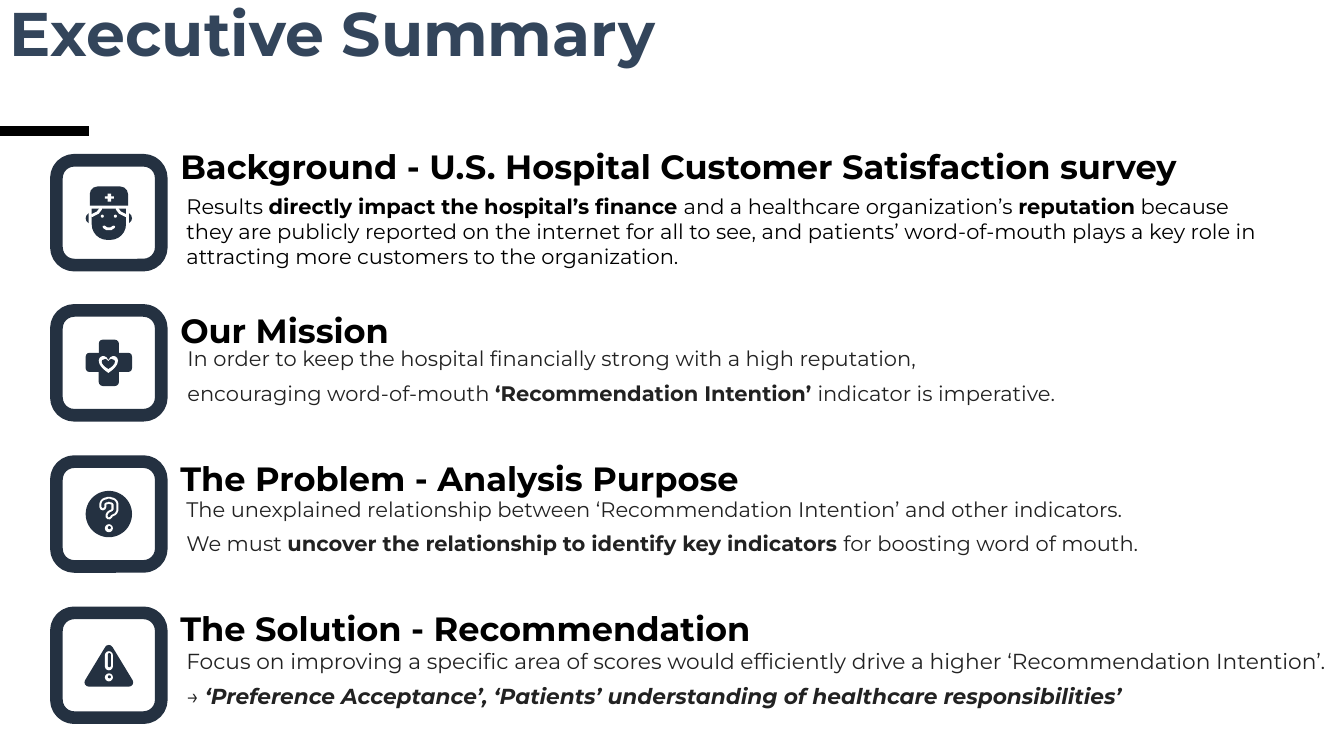
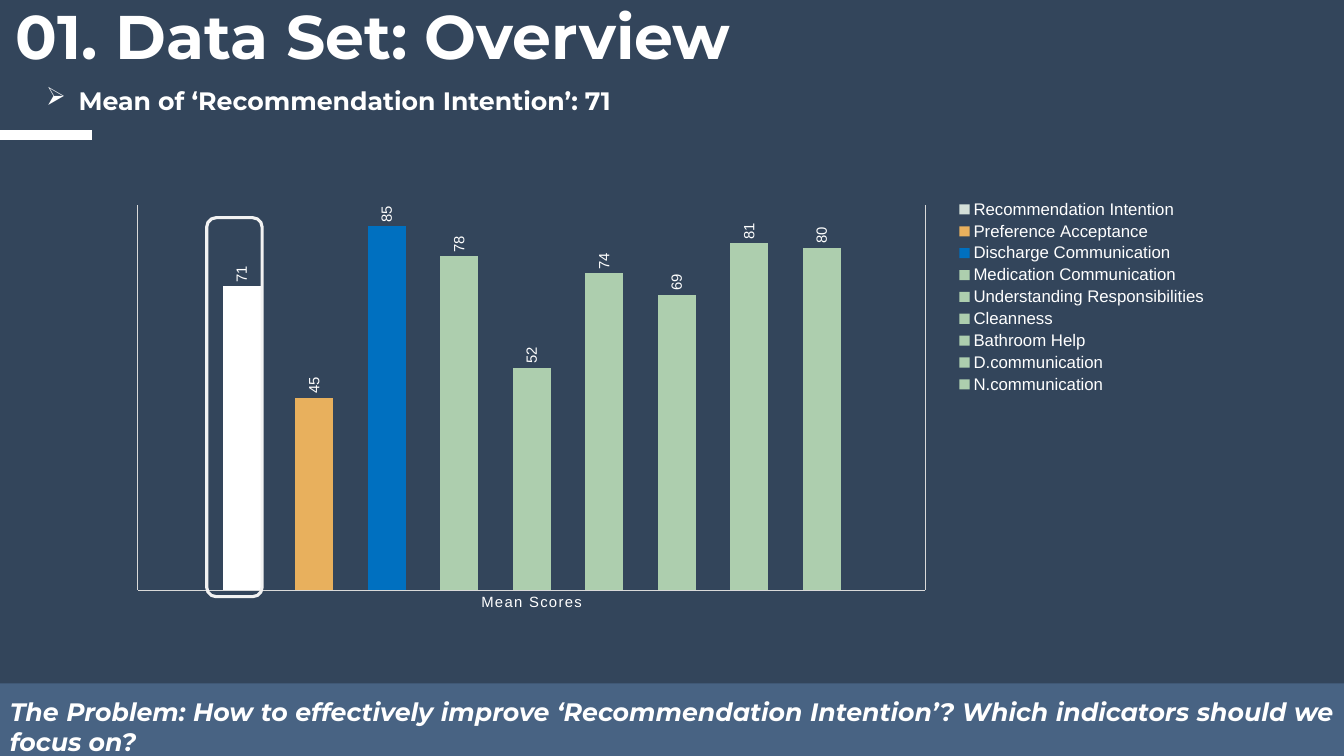
"""Build an executive summary slide and a data set overview slide."""
from dataclasses import dataclass
from math import cos, radians, sin

from lxml import etree
from pptx import Presentation
from pptx import util as u
from pptx.chart import data
from pptx.dml.color import RGBColor
from pptx.enum import chart as charts, shapes, text
from pptx.oxml import parse_xml
from pptx.oxml.ns import nsdecls, qn


@dataclass(frozen=True)
class Theme:
    white: str = "FFFFFF"
    black: str = "000000"
    navy: str = "33455B"
    icon: str = "243141"
    body: str = "222222"
    band: str = "486383"
    frame: str = "F2F2F2"
    axis: str = "D9D9D9"
    mint: str = "D4DFD8"
    orange: str = "E8B05D"
    blue: str = "0070C0"
    green: str = "ADCEAE"
    font: str = "Montserrat"
    chart_font: str = "Arial"
    title: float = 44
    heading: float = 24
    point: float = 18
    copy: float = 15
    copy_wide: float = 15.5
    legend: float = 12
    label: float = 10.6


T = Theme()
PX = 9144
W, H = 1333, 750
rgb = RGBColor.from_string
KIND = shapes.MSO_SHAPE
RECT, ROUND, OVAL = KIND.RECTANGLE, KIND.ROUNDED_RECTANGLE, KIND.OVAL
HALF_ROUND = KIND.ROUND_2_SAME_RECTANGLE


def add_text(s, box, paras, size=T.copy, color=T.black, bold=False, italic=False, inset=(10, 10),
             anchor=text.MSO_ANCHOR.TOP, align=None, spacing=None, before=None, after=None, bullet=None):
    """Add a text box; each paragraph lists runs that alternate plain and bold."""
    tf = s.shapes.add_textbox(*(u.Emu(v * PX) for v in box)).text_frame
    tf.word_wrap = True
    tf.vertical_anchor = anchor
    tf.margin_left = tf.margin_right = inset[0] * PX
    tf.margin_top = tf.margin_bottom = inset[1] * PX
    for n, runs in enumerate(paras):
        p = tf.add_paragraph() if n else tf.paragraphs[0]
        p.alignment, p.line_spacing = align, spacing
        if before:
            p.space_before = u.Pt(before)
        if after:
            p.space_after = u.Pt(after)
        if bullet:
            pPr = p._p.get_or_add_pPr()
            pPr.set("marL", str(25 * PX))
            pPr.set("indent", str(-25 * PX))
            etree.SubElement(pPr, qn("a:buChar")).set("char", bullet)
        for i, words in enumerate(runs):
            r = p.add_run()
            r.text = words
            strong = bold or i % 2 == 1
            r.font.name, r.font.size, r.font.color.rgb = T.font, u.Pt(size), rgb(color)
            r.font.bold, r.font.italic = strong, italic and strong


def add_figure(s, kind, box, fill=None, line=None, width=0, adj=(), points=()):
    """Add a preset shape, or an open stroke when points are given."""
    if points:
        pen = s.shapes.build_freeform(*points[0], scale=PX)
        pen.add_line_segments(points[1:], close=False)
        sp = pen.convert_to_shape()
    else:
        sp = s.shapes.add_shape(kind, *(u.Emu(v * PX) for v in box))
    sp.shadow.inherit = False
    for i, value in enumerate(adj):
        sp.adjustments[i] = value
    if fill:
        sp.fill.solid()
        sp.fill.fore_color.rgb = rgb(fill)
    else:
        sp.fill.background()
    if line:
        sp.line.color.rgb, sp.line.width = rgb(line), u.Pt(width)
        ln = sp.line._get_or_add_ln()
        ln.set("cap", "rnd")
        etree.SubElement(ln, qn("a:round"))
    else:
        sp.line.fill.background()


prs = Presentation()
prs.slide_width, prs.slide_height = W * PX, H * PX

pages = []
for title, box, inset, back, ink, rule, rule_y, rule_end, weight in [
    ("Executive Summary", (0, 1, 1085, 142), (10, 5), T.white, T.navy, T.black, 130, 88, 6.75),
    ("01. Data Set: Overview", (6, -1, 1102, 116), (10, 10), T.navy, T.white, T.white, 134, 91, 7.2),
]:
    s = prs.slides.add_slide(prs.slide_layouts[6])
    s.background.fill.solid()
    s.background.fill.fore_color.rgb = rgb(back)
    accent = s.shapes.add_connector(shapes.MSO_CONNECTOR.STRAIGHT, 0, rule_y * PX, rule_end * PX, rule_y * PX)
    accent.line.color.rgb, accent.line.width = rgb(rule), u.Pt(weight)
    etree.SubElement(accent._element.spPr, qn("a:effectLst"))
    add_text(s, box, [[title]], size=T.title, color=ink, bold=True, spacing=0.85, inset=inset)
    pages.append(s)
summary, overview = pages

hook = [(52 + 6.5 * cos(radians(a)), 45 + 6.5 * sin(radians(a))) for a in range(180, 406, 15)]
hook += [(53, 52), (52, 54.5)]
hair = [(44, 48), (41, 52), (35, 55)]
nurse = [
    (HALF_ROUND, (33, 26, 38, 19), T.icon, (0.4, 0)),
    (KIND.CROSS, (48, 33, 9, 8), T.white, (0.35,)),
    (ROUND, (29, 52, 46, 11), T.icon, (0.5,)),
    (RECT, (32, 50, 40, 15), T.white, ()),
    (HALF_ROUND, (35, 48, 34, 31), T.icon, (0, 0.5)),
    (OVAL, (44, 54, 3, 3), T.white, ()),
    (OVAL, (57, 54, 3, 3), T.white, ()),
]
mission = [
    (ROUND, (42, 29, 20, 46), T.icon, (0.2,)),
    (ROUND, (29, 42, 46, 19), T.icon, (0.2,)),
    (KIND.HEART, (42, 45, 19, 17), T.white, ()),
    (KIND.HEART, (45, 48, 13, 10), T.icon, ()),
]
question = [
    (OVAL, (29, 29, 46, 46), T.icon, ()),
    (OVAL, (48, 62, 8, 8), T.white, ()),
    (OVAL, (51, 64, 3, 3), T.icon, ()),
]
warning = [
    (KIND.ISOSCELES_TRIANGLE, (32, 36, 40, 33), T.icon, ()),
    (ROUND, (48, 38, 8, 19), T.white, (0.5,)),
    (ROUND, (51, 40, 3, 14), T.icon, (0.5,)),
    (OVAL, (48, 60, 8, 8), T.white, ()),
    (OVAL, (51, 62, 3, 3), T.icon, ()),
]
smile = [(47, 66), (50, 68), (54, 68), (57, 66)]
icons = [
    (nurse, [(hair, 2, T.white), ([(104 - x, y) for x, y in hair], 2, T.white), (smile, 2, T.white)]),
    (mission, []),
    (question, [(hook, 5, T.white), (hook, 2, T.icon)]),
    (warning, []),
]
for n, (parts, strokes) in enumerate(icons):
    left, top = 56, 159 + n * 449 // 3
    add_figure(summary, ROUND, (left, top, 104, 104), T.white, T.icon, 9, (0.17,))
    for kind, (x, y, w, h), fill, adj in parts:
        edge = T.icon if kind == KIND.ISOSCELES_TRIANGLE else None
        add_figure(summary, kind, (left + x, top + y, w, h), fill, edge, 6, adj)
    for points, width, color in strokes:
        add_figure(summary, None, None, None, color, width, points=[(left + x, top + y) for x, y in points])

loose = dict(color=T.body, spacing=0.8, before=10)
sections = [
    ("Background - U.S. Hospital Customer Satisfaction survey", 139, (175, 137, 1085, 185), {}, [
        ["Results ", "directly impact the hospital’s finance ", "and a healthcare organization’s ", "reputation",
         " because they are publicly reported on the internet for all to see, and patients’ word-of-mouth "
         "plays a key role in attracting more customers to the organization."]]),
    ("Our Mission", 302, (176, 337, 1085, 76), loose, [
        ["In order to keep the hospital financially strong with a high reputation,"],
        ["encouraging word-of-mouth ", "‘Recommendation Intention’ ", "indicator is imperative."]]),
    ("The Problem - Analysis Purpose", 449, (175, 481, 1158, 86), loose, [
        ["The unexplained relationship between ‘Recommendation Intention’ and other indicators."],
        ["We must ", "uncover the relationship to identify key indicators ", "for boosting word of mouth."]]),
    ("The Solution - Recommendation", 598, (175, 633, 1158, 85), dict(loose, size=T.copy_wide, italic=True), [
        ["Focus on improving a specific area of scores would efficiently drive a higher "
         "‘Recommendation Intention’."],
        ["→ ", "‘Preference Acceptance’, ‘Patients’ understanding of healthcare responsibilities’"]]),
]
for heading, y, box, style, paras in sections:
    add_text(summary, box, paras, anchor=text.MSO_ANCHOR.MIDDLE, **style)
    add_text(summary, (169, y, 1164, 57), [[heading]], size=T.heading, bold=True, spacing=0.85,
             anchor=text.MSO_ANCHOR.MIDDLE)

scores = [
    ("Recommendation Intention", 71, T.mint),
    ("Preference Acceptance", 45, T.orange),
    ("Discharge Communication", 85, T.blue),
    ("Medication Communication", 78, T.green),
    ("Understanding Responsibilities", 52, T.green),
    ("Cleanness", 74, T.green),
    ("Bathroom Help", 69, T.green),
    ("D.communication", 81, T.green),
    ("N.communication", 80, T.green),
]
cd = data.CategoryChartData()
cd.categories = ["Mean Scores"]
for name, score, _ in scores:
    cd.add_series(name, [score])
chart = overview.shapes.add_chart(charts.XL_CHART_TYPE.COLUMN_CLUSTERED,
                                  *(u.Emu(v * PX) for v in (115, 195, 1085, 420)), cd).chart
chart.has_title = False
chart.has_legend = True
chart.legend.position = charts.XL_LEGEND_POSITION.CORNER
chart.legend.include_in_layout = False

plot = chart.plots[0]
plot.gap_width, plot.overlap, plot.vary_by_categories = 444, -90, False
for series, (_, _, color) in zip(plot.series, scores):
    series.format.fill.solid()
    series.format.fill.fore_color.rgb = rgb(color)
    labels = series.data_labels
    labels.show_value = True
    labels.position = charts.XL_LABEL_POSITION.OUTSIDE_END
    labels.font.size, labels.font.name, labels.font.color.rgb = u.Pt(T.label), T.chart_font, rgb(T.white)
    turn = labels._element.xpath(".//a:bodyPr")[0]
    turn.set("rot", "-5400000")
    turn.set("vert", "horz")
first = plot.series[0].points[0].format.fill
first.solid()
first.fore_color.rgb = rgb(T.white)

cat, val = chart.category_axis, chart.value_axis
val.visible = val.has_major_gridlines = False
val.minimum_scale, val.maximum_scale = 0, 90
cat.has_major_gridlines = True
cat.major_tick_mark = cat.minor_tick_mark = charts.XL_TICK_MARK.NONE
for line in (cat.format.line, cat.major_gridlines.format.line):
    line.color.rgb, line.width = rgb(T.axis), u.Pt(0.75)
for font, size in ((cat.tick_labels.font, T.label), (chart.legend.font, T.legend)):
    font.size, font.name, font.color.rgb = u.Pt(size), T.chart_font, rgb(T.white)
cat._element.xpath(".//a:defRPr")[0].set("spc", "100")

area = chart._chartSpace.xpath(".//c:plotArea")[0]
for old in area.findall(qn("c:layout")):
    area.remove(old)
layout = "".join(f'<c:{k} val="{v}"/>' for k, v in [
    ("layoutTarget", "inner"), ("xMode", "edge"), ("yMode", "edge"),
    ("x", 0.02), ("y", 0.02), ("w", 0.72), ("h", 0.91)])
area.insert(0, parse_xml(f'<c:layout {nsdecls("c")}><c:manualLayout>{layout}</c:manualLayout></c:layout>'))

add_text(overview, (36, 80, 1222, 73), [[" Mean of ‘Recommendation Intention’: 71"]], size=T.point, color=T.white,
         bold=True, spacing=0.8, after=16, bullet="➢")
add_figure(overview, RECT, (0, 678, W, 72), T.band)
add_text(overview, (0, 686, W, 71),
         [["The Problem: How to effectively improve ‘Recommendation Intention’? "
           "Which indicators should we focus on?"]],
         size=T.point, color=T.white, bold=True, italic=True, inset=(10, 5), align=text.PP_ALIGN.JUSTIFY, after=16)
add_figure(overview, ROUND, (205, 216, 55, 376), None, T.frame, 2.25, (0.17,))

prs.save("out.pptx")
